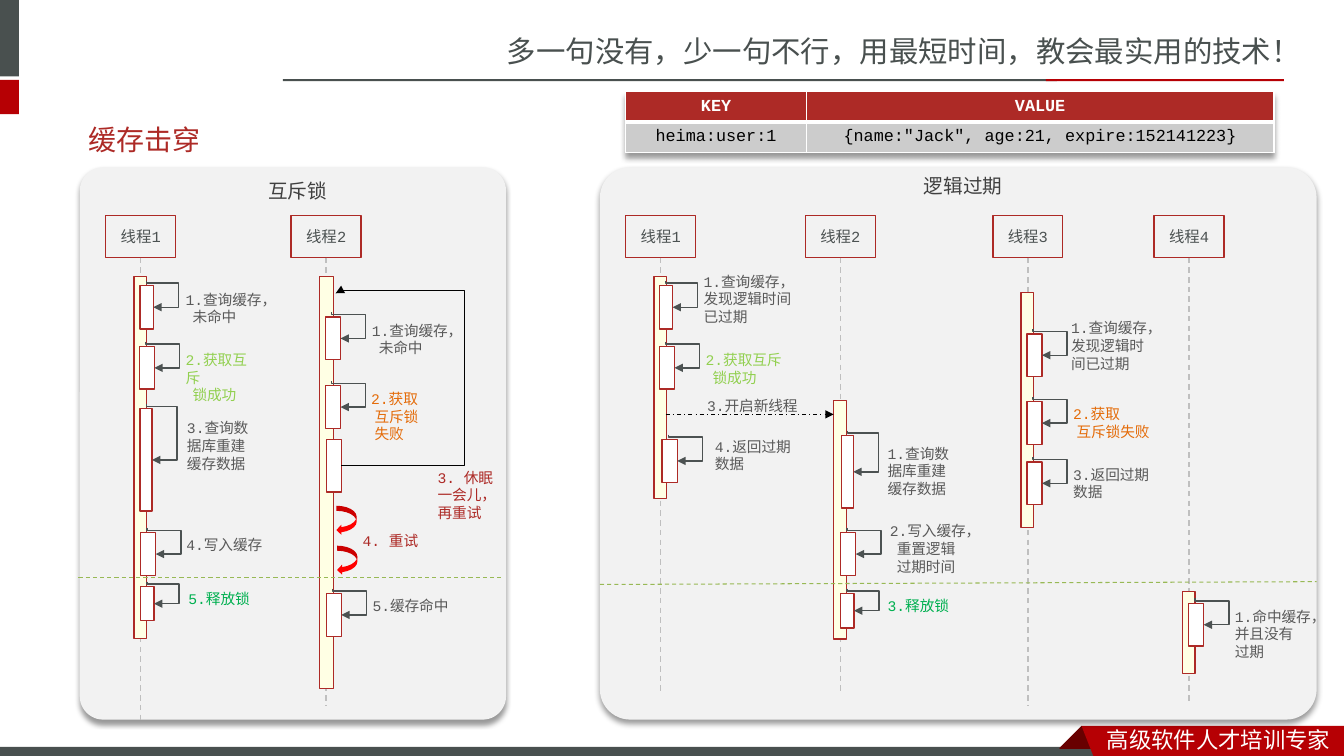
"""Build the cache breakdown slide: mutex lock versus logical expiry."""
import pptx
import pptx.util
import pptx.dml.color
import pptx.enum.dml
import pptx.enum.shapes
import pptx.enum.text
import pptx.oxml
import pptx.oxml.ns

Pt = pptx.util.Pt
hue = pptx.dml.color.RGBColor.from_string
qn = pptx.oxml.ns.qn
Form = pptx.enum.shapes.MSO_SHAPE
Wire = pptx.enum.shapes.MSO_CONNECTOR
Dash = pptx.enum.dml.MSO_LINE
Align = pptx.enum.text.PP_ALIGN
Anchor = pptx.enum.text.MSO_ANCHOR
SPACE = 'xmlns:a="http://schemas.openxmlformats.org/drawingml/2006/main"'
SHADOW = (f'<a:outerShdw {SPACE} blurRad="50800" dist="38100" dir="5400000" algn="t" rotWithShape="0">'
          '<a:srgbClr val="000000"><a:alpha val="40000"/></a:srgbClr></a:outerShdw>')
RED, DARK, GRAY, BRAND = "AD2A26", "49504F", "595959", "B60004"
LIME, GREEN, ORANGE = "92D050", "00B050", "E46C0A"

deck = pptx.Presentation()
deck.slide_width, deck.slide_height = Pt(960), Pt(540)
slide = deck.slides.add_slide(deck.slide_layouts[6])
shapes = slide.shapes


def draw(form, x, y, w, h, fill=None, line=None):
    """Add a preset shape with a plain fill and outline."""
    shape = shapes.add_shape(form, Pt(x), Pt(y), Pt(w), Pt(h))
    shape.shadow.inherit = False
    if fill:
        shape.fill.solid()
        shape.fill.fore_color.rgb = hue(fill)
    else:
        shape.fill.background()
    if line:
        shape.line.color.rgb = hue(line)
        shape.line.width = Pt(1)
    else:
        shape.line.fill.background()
    return shape


def write(x, y, w, h, text, size, color, font="Courier New", indent=0):
    """Add a text box whose later paragraphs may be indented."""
    box = shapes.add_textbox(Pt(x), Pt(y), Pt(w), Pt(h))
    frame = box.text_frame
    frame.word_wrap = True
    frame.text = text
    for i, para in enumerate(frame.paragraphs):
        if i and indent:
            para._p.get_or_add_pPr().set("marL", str(Pt(indent)))
        para.font.size = Pt(size)
        para.font.name = font
        para.font.color.rgb = hue(color)
    return frame


for x, y, w, h, fill in [
    (0, 0, 13.5, 54.5, DARK), (0, 57, 13.5, 24.5, BRAND),
    (202, 56.5, 553, 1.5, DARK), (747, 56.5, 170, 1.5, BRAND),
    (0, 533.5, 788, 6.5, DARK),
]:
    draw(Form.RECTANGLE, x, y, w, h, fill)

for fill, first, *rest in [
    ("680000", (772.5, 518.5), (788.5, 534.5), (787.5, 535), (757.5, 535), (756.5, 534.5)),
    (BRAND, (772.5, 518.5), (960, 518.5), (960, 540), (781, 540)),
]:
    maker = shapes.build_freeform(Pt(first[0]), Pt(first[1]), scale=1)
    maker.add_line_segments([(Pt(x), Pt(y)) for x, y in rest])
    ribbon = maker.convert_to_shape()
    ribbon.shadow.inherit = False
    ribbon.fill.solid()
    ribbon.fill.fore_color.rgb = hue(fill)
    ribbon.line.fill.background()

write(355, 20, 605, 34, "多一句没有，少一句不行，用最短时间，教会最实用的技术！", 21, DARK, "Noto Sans CJK SC")
write(783.5, 515, 176.5, 27, "高级软件人才培训专家", 16, "FFFFFF", "Noto Sans CJK SC")
write(56, 83.5, 842, 32, "缓存击穿", 20, RED, "Arial").vertical_anchor = Anchor.MIDDLE

for x, w, label, left, top, wide in [
    (428.5, 512, "逻辑过期", 584, 104.5, 201), (57, 304.5, "互斥锁", 171.5, 108.5, 75),
]:
    panel = draw(Form.ROUNDED_RECTANGLE, x, 119.5, w, 394.5, "F2F2F2")
    panel.adjustments[0] = 0.055
    panel.element.spPr.find(qn("a:effectLst")).append(pptx.oxml.parse_xml(SHADOW))
    frame = write(left, top, wide, 39, label, 14, "404040", "Roboto")
    frame.vertical_anchor = Anchor.MIDDLE
    frame.margin_right = 0
    frame.paragraphs[0].alignment = Align.CENTER
    frame.paragraphs[0].line_spacing = 2.0

threads = [
    ("线程1", 75.6, 514, 197.3, 9, 259, [
        (100, 204, 9.5, 31, 125.5, 204, 78.5, GRAY, "1.查询缓存，\n未命中", 5),
        (99.5, 247.5, 10.8, 30.5, 125.5, 247, 68, LIME, "2.获取互斥\n锁成功", 5),
        (100, 292, 8.5, 73, 126.5, 296, 63.5, GRAY, "3.查询数据库重建缓存数据", 0),
        (100.5, 380.5, 10.8, 30.5, 126, 379.5, 73, GRAY, "4.写入缓存", 0),
        (100.5, 419, 9.5, 24.5, 127.5, 417.5, 78.5, GREEN, "5.释放锁", 0)]),
    ("线程2", 208, 504, 197.3, 10, 294.5, [
        (232.5, 226.5, 10.8, 30.5, 258.5, 226, 78.5, GRAY, "1.查询缓存，\n未命中", 5),
        (232.5, 275.5, 10.8, 30.5, 258, 275, 54, ORANGE, "2.获取\n互斥锁\n失败", 2.4),
        (233, 424, 10.8, 30.5, 259, 422.5, 78.5, GRAY, "5.缓存命中", 0)]),
    ("线程1", 447, 495, 197.3, 9, 159, [
        (471, 204, 9.5, 31, 495.5, 191, 78.5, GRAY, "1.查询缓存，发现逻辑时间已过期", 0),
        (471, 247.5, 10.8, 30.5, 497, 247, 72, LIME, "2.获取互斥\n锁成功", 5),
        (473, 314, 10.8, 30.5, 503.5, 309, 73, GRAY, "4.返回过期数据", 0)]),
    ("线程3", 709.2, 504, 209, 9, 168, [
        (733.5, 238.5, 10.8, 30.5, 758, 224.5, 75, GRAY, "1.查询缓存，发现逻辑时间已过期", 0),
        (733.5, 287, 10.8, 30.5, 759.5, 286, 75, ORANGE, "2.获取\n互斥锁失败", 2.4),
        (733.5, 330, 10.8, 30.5, 759.5, 329, 73.5, GRAY, "3.返回过期数据", 0)]),
    ("线程2", 575.3, 495, 286, 9, 170.5, [
        (601, 311, 8.5, 52, 627, 314, 63.5, GRAY, "1.查询数据库重建缓存数据", 0),
        (600.5, 380.5, 10.8, 30.5, 628.5, 369.5, 73, GRAY, "2.写入缓存，\n重置逻辑\n过期时间", 5),
        (600.5, 424, 9.5, 24.5, 627, 422.5, 78.5, GREEN, "3.释放锁", 0)]),
    ("线程4", 824.4, 503, 422.5, 9, 58.5, [
        (849, 431, 10.8, 30.5, 875, 430.5, 73.5, GRAY, "1.命中缓存，\n并且没有\n过期", 0)]),
]
wires = []
for name, left, end, top, wide, tall, calls in threads:
    head = draw(Form.RECTANGLE, left, 154, 50, 30, None, RED)
    frame = head.text_frame
    frame.text = name
    frame.vertical_anchor = Anchor.MIDDLE
    para = frame.paragraphs[0]
    para.alignment = Align.CENTER
    para.font.size = Pt(11)
    para.font.name = "Courier New"
    para.font.color.rgb = hue("4C5252")
    life = shapes.add_connector(Wire.STRAIGHT, Pt(left + 25), Pt(184), Pt(left + 25), Pt(end))
    wires.append((life, "BFBFBF", 1, Dash.DASH, False, None))
    draw(Form.RECTANGLE, left + 20.2, top, wide, tall, "FFFFE4", RED)
    for x, y, w, h, tx, ty, tw, color, text, indent in calls:
        draw(Form.RECTANGLE, x, y, w, h, "FFFFFF", RED)
        span, rise = h / 2 + 3.5, w - 4.5
        midx, midy = x + w - rise / 2, y + h / 2 - span / 2
        loop = shapes.add_connector(Wire.ELBOW, Pt(midx - span / 2), Pt(midy - rise / 2),
                                    Pt(midx + span / 2), Pt(midy + rise / 2))
        frame = loop.element.spPr.find(qn("a:xfrm"))
        frame.set("rot", "16200000")
        frame.set("flipH", "1")
        wires.append((loop, "4C5252", 1, None, True, (1.75 / span, (rise + 18) / rise)))
        write(tx, ty, tw, 20, text, 10.5, color, indent=indent)

draw(Form.RECTANGLE, 233, 314, 10.8, 37.5, "FFFFFF", RED)
back = shapes.add_connector(Wire.ELBOW, Pt(243.8), Pt(332.6), Pt(239.8), Pt(209.5))
wires.append((back, "000000", 0.25, None, True, (-22, 1.017)))
for x, y in [(237, 364.5), (237.5, 393)]:
    draw(Form.CURVED_DOWN_ARROW, x, y, 21, 14.5, "FF0000").rotation = 90
for x, y, w, color, text in [
    (252, 376.5, 67, RED, "4. 重试"), (305.5, 331, 57, RED, "3. 休眠一会儿，再重试"),
    (498, 280, 83.5, GRAY, "3.开启新线程"),
]:
    write(x, y, w, 20, text, 10.5, color)

for x, y, right, low, color, dash, arrow in [
    (475.5, 296, 595.5, 296, "000000", Dash.DASH_DOT, True),
    (56, 412.5, 360, 412.5, "98B955", Dash.DASH, False),
    (428.5, 417.5, 940.5, 415.5, "98B955", Dash.DASH, False),
]:
    rule = shapes.add_connector(Wire.STRAIGHT, Pt(x), Pt(y), Pt(right), Pt(low))
    wires.append((rule, color, 0.75, dash, arrow, None))

for link, color, width, dash, arrow, bends in wires:
    link.line.color.rgb = hue(color)
    link.line.width = Pt(width)
    if dash:
        link.line.dash_style = dash
    prop = link.element.spPr
    if arrow:
        prop.find(qn("a:ln")).append(pptx.oxml.parse_xml(f'<a:tailEnd {SPACE} type="triangle"/>'))
    if bends:
        geom = prop.find(qn("a:prstGeom"))
        geom.set("prst", "bentConnector4")
        for i, bend in enumerate(bends, 1):
            geom.find(qn("a:avLst")).append(pptx.oxml.parse_xml(
                f'<a:gd {SPACE} name="adj{i}" fmla="val {round(bend * 100000)}"/>'))
    prop.append(pptx.oxml.parse_xml(f"<a:effectLst {SPACE}/>"))

table = shapes.add_table(2, 2, Pt(447), Pt(65.5), Pt(463), Pt(40.5)).table
table._tbl.tblPr.insert(0, pptx.oxml.parse_xml(f"<a:effectLst {SPACE}>{SHADOW}</a:effectLst>"))
for i, width in enumerate([129, 334]):
    table.columns[i].width = Pt(width)
rows = [("KEY", "VALUE"), ("heima:user:1", '{name:"Jack", age:21, expire:152141223}')]
for r, (height, fill, color) in enumerate([(19, RED, "FFFFFF"), (21.5, "CCCCCC", "000000")]):
    table.rows[r].height = Pt(height)
    for c, text in enumerate(rows[r]):
        cell = table.cell(r, c)
        cell.text = text
        cell.vertical_anchor = Anchor.MIDDLE
        cell.fill.solid()
        cell.fill.fore_color.rgb = hue(fill)
        para = cell.text_frame.paragraphs[0]
        para.alignment = Align.CENTER
        para.font.size = Pt(12)
        para.font.name = "Courier New"
        para.font.bold = r == 0
        para.font.color.rgb = hue(color)
        for i, side in enumerate("LRTB"):
            thick = 3 if (r, side) in [(0, "B"), (1, "T")] else 1
            cell._tc.get_or_add_tcPr().insert(i, pptx.oxml.parse_xml(
                f'<a:ln{side} {SPACE} w="{Pt(thick)}"><a:solidFill><a:srgbClr val="FFFFFF"/>'
                f"</a:solidFill></a:ln{side}>"))

deck.save("out.pptx")
